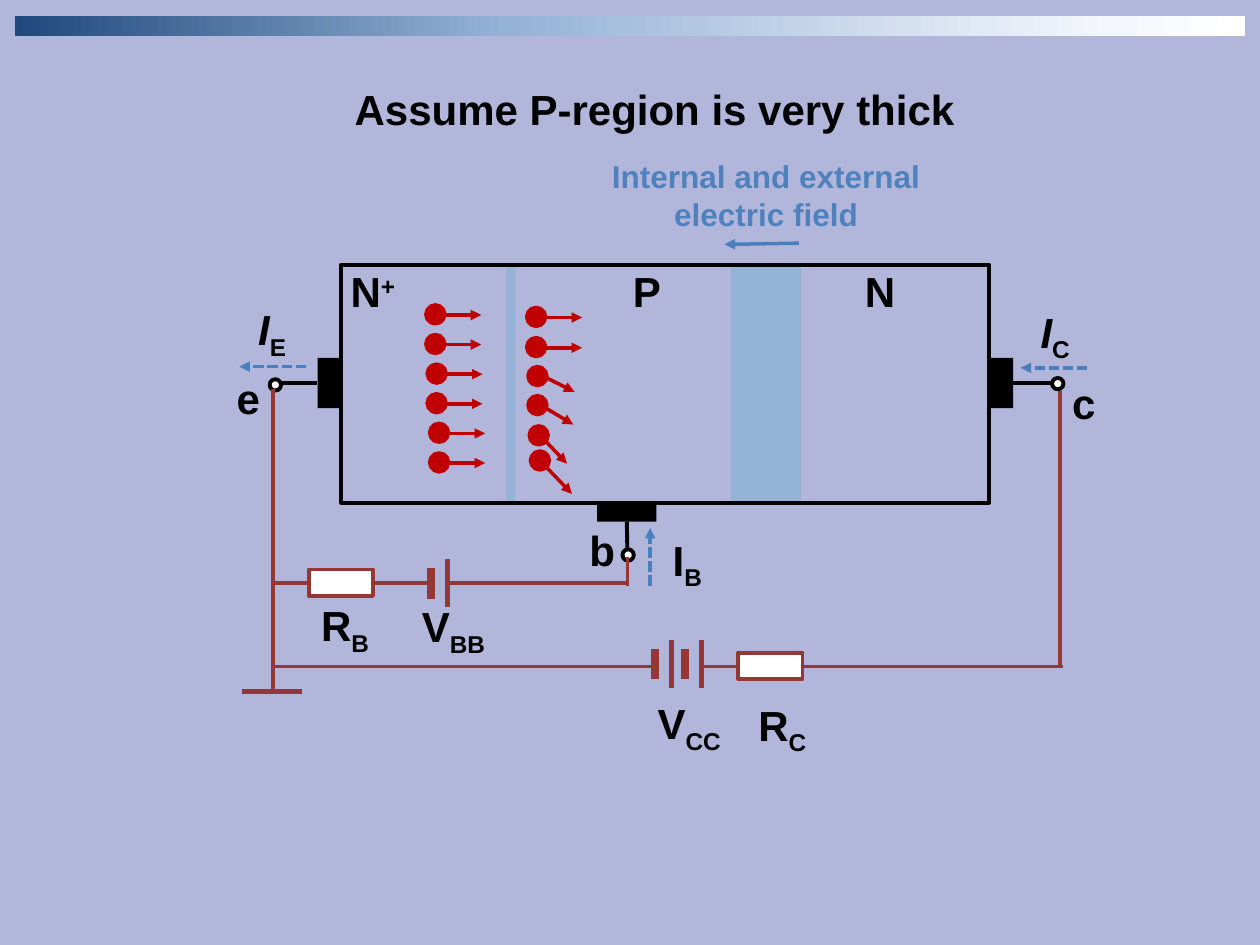
from lxml import etree
from pptx import Presentation
from pptx.dml.color import RGBColor
from pptx.enum.dml import MSO_LINE
from pptx.enum.shapes import MSO_CONNECTOR, MSO_SHAPE
from pptx.enum.text import MSO_ANCHOR, MSO_AUTO_SIZE, PP_ALIGN
from pptx.oxml.ns import qn
from pptx.util import Inches, Pt

RECT, OVAL = MSO_SHAPE.RECTANGLE, MSO_SHAPE.OVAL
STRAIGHT, DOTTED = MSO_CONNECTOR.STRAIGHT, MSO_LINE.SQUARE_DOT
LEFT, CENTER = PP_ALIGN.LEFT, PP_ALIGN.CENTER
SIDE_LEFT, SIDE_BOTTOM, SIDE_RIGHT = 1, 2, 3

THEME = {
    "font": "Arial", "label": 24, "note": 18,
    "background": "B3B6DB", "ink": "000000", "white": "FFFFFF",
    "depletion": "95B3D7", "wire": "953735", "electron": "C00000",
    "current": "4B7EBC", "field": "4F81BD",
    "bar": [(0, "1F497D"), (40, "95B3D7"), (89, "F4F7FC"), (100, "FFFFFF")],
}
THIN, MEDIUM, PLATE, THICK = 2, 2.25, 3, 4.5

TITLE = ("Assume P-region is very thick", (2.19, 0.61, 6.01, 0.5))
NOTE = ("Internal and external electric field", (4.41, 1.2, 3.34, 0.71))
BAR = (0.12, 0.13, 9.76, 0.16)

DEPLETION = [(5.8, 2.09, 0.56, 1.89), (4.02, 2.1, 0.07, 1.89)]
BODY = (2.71, 2.1, 5.14, 1.89)
TERMINAL = 0.09
CONTACTS = [
    ((2.52, 2.84, 0.19, 0.4), SIDE_LEFT, (2.22, 3.04), (2.14, 3.01)),
    ((7.85, 2.84, 0.19, 0.4), SIDE_RIGHT, (8.34, 3.04), (8.35, 3)),
    ((4.74, 4, 0.47, 0.14), SIDE_BOTTOM, (4.98, 4.42), (4.94, 4.36)),
]
WIRES = [
    ((2.17, 5.49), (2.17, 3.09)), ((8.41, 5.3), (8.41, 3.1)),
    ((3.42, 4.63), (2.17, 4.63)), ((4.98, 4.65), (4.98, 4.42)),
    ((4.98, 4.63), (3.56, 4.63)), ((8.44, 5.29), (5.57, 5.29)),
    ((5.2, 5.29), (2.16, 5.29)),
]
GROUND = ((1.92, 5.49), (2.4, 5.49))
CELLS = [(3.42, 4.63), (5.2, 5.27), (5.44, 5.27)]
CELL_GAP, SHORT_HALF, LONG_HALF = 0.13, 0.12, 0.19
RESISTORS = [(2.45, 4.52, 0.51, 0.21), (5.86, 5.18, 0.51, 0.21)]

LABELS = [
    ("I", "C", -25, True, LEFT, (8.16, 2.38, 0.79, 0.59)),
    ("I", "E", -25, True, LEFT, (1.95, 2.36, 0.79, 0.59)),
    ("I", "B", -25, False, LEFT, (5.24, 4.19, 0.55, 0.59)),
    ("V", "CC", -25, False, LEFT, (5.12, 5.49, 0.79, 0.59)),
    ("R", "C", -25, False, LEFT, (5.92, 5.5, 0.79, 0.59)),
    ("V", "BB", -25, False, LEFT, (3.25, 4.72, 0.79, 0.59)),
    ("R", "B", -25, False, LEFT, (2.45, 4.71, 0.79, 0.59)),
    ("N", "+", 30, False, CENTER, (2.64, 2.06, 0.64, 0.54)),
    ("P", "", 0, False, CENTER, (4.86, 2.06, 0.55, 0.5)),
    ("N", "", 0, False, CENTER, (6.71, 2.06, 0.55, 0.5)),
    ("e", "", 0, False, LEFT, (1.78, 2.91, 0.41, 0.5)),
    ("c", "", 0, False, LEFT, (8.41, 2.95, 0.41, 0.5)),
    ("b", "", 0, False, LEFT, (4.58, 4.11, 0.41, 0.5)),
]

ELECTRON, PITCH = 0.15, 0.235
LEVEL = (0.15, 0.08, 0.29, 0)
EMITTER_X, EMITTER_TOP = (3.38, 3.38, 3.39, 3.39, 3.41, 3.41), 2.42
BASE_ELECTRONS = [
    (4.18, 2.44, LEVEL), (4.18, 2.68, LEVEL),
    (4.19, 2.91, (0.11, 0.07, 0.26, 0.13)),
    (4.19, 3.14, (0.11, 0.08, 0.25, 0.15)),
    (4.2, 3.38, (0.1, 0.09, 0.2, 0.21)),
    (4.21, 3.58, (0.1, 0.1, 0.23, 0.24)),
]
CURRENTS = [
    ((8.63, 2.92), (8.1, 2.92)), ((2.43, 2.91), (1.9, 2.91)),
    ((5.16, 4.65), (5.16, 4.19)),
]
FIELD_ARROW = ((6.34, 1.93), (5.75, 1.94))


def rgb(name):
    return RGBColor.from_string(THEME[name])


def inches(values):
    return [Inches(v) for v in values]


def add_box(s, kind, box, fill=None, line=None, width=MEDIUM):
    sp = s.shapes.add_shape(kind, *inches(box))
    sp.shadow.inherit = False
    if fill:
        sp.fill.solid()
        sp.fill.fore_color.rgb = rgb(fill)
    else:
        sp.fill.background()
    if line:
        sp.line.color.rgb = rgb(line)
        sp.line.width = Pt(width)
    else:
        sp.line.fill.background()
    return sp


def add_line(s, start, end, color, width=MEDIUM, arrow=False, dash=None):
    cn = s.shapes.add_connector(STRAIGHT, *inches(start + end))
    cn.line.color.rgb = rgb(color)
    cn.line.width = Pt(width)
    if dash:
        cn.line.dash_style = dash
    if arrow:
        etree.SubElement(cn.line._get_or_add_ln(), qn("a:tailEnd"), type="triangle")
    etree.SubElement(cn._element.spPr, qn("a:effectLst"))
    return cn


def write(sp, runs, size="label", color="ink", align=LEFT):
    tf = sp.text_frame
    for name, value in {"word_wrap": True, "auto_size": MSO_AUTO_SIZE.NONE,
                        "vertical_anchor": MSO_ANCHOR.TOP}.items():
        setattr(tf, name, value)
    p = tf.paragraphs[0]
    p.alignment = align
    for text, italic, baseline in runs:
        r = p.add_run()
        r.text = text
        for name, value in {"name": THEME["font"], "size": Pt(THEME[size]),
                            "bold": True, "italic": italic}.items():
            setattr(r.font, name, value)
        r.font.color.rgb = rgb(color)
        if baseline:
            r._r.get_or_add_rPr().set("baseline", str(baseline * 1000))


def add_bar(s):
    sp = add_box(s, RECT, BAR)
    sp.fill.gradient()
    sp.fill.gradient_angle = 0
    stops = sp._element.spPr.find(qn("a:gradFill")).find(qn("a:gsLst"))
    for stop in list(stops):
        stops.remove(stop)
    for position, color in THEME["bar"]:
        stop = etree.SubElement(stops, qn("a:gs"), pos=str(position * 1000))
        etree.SubElement(stop, qn("a:srgbClr"), val=color)


def add_transistor(s):
    for box in DEPLETION:
        add_box(s, RECT, box, "depletion")
    add_box(s, RECT, BODY, line="ink")
    for box, side, lead, terminal in CONTACTS:
        contact = add_box(s, RECT, box, "ink")
        add_line(s, lead, lead, "ink").end_connect(contact, side)
        add_box(s, OVAL, terminal + (TERMINAL, TERMINAL), "white", "ink")


def add_circuit(s):
    for start, end in WIRES:
        add_line(s, start, end, "wire")
    add_line(s, *GROUND, "wire", PLATE)
    for x, y in CELLS:
        for px, half, width in ((x, SHORT_HALF, THICK), (x + CELL_GAP, LONG_HALF, PLATE)):
            add_line(s, (px, y - half), (px, y + half), "wire", width)
    for box in RESISTORS:
        add_box(s, RECT, box, "white", "wire")


def add_electrons(s):
    emitter = [(x, EMITTER_TOP + i * PITCH, LEVEL) for i, x in enumerate(EMITTER_X)]
    for x, y, (ox, oy, dx, dy) in emitter + BASE_ELECTRONS:
        add_box(s, OVAL, (x, y, ELECTRON, ELECTRON), "electron", "electron", THIN)
        start = (x + ox, y + oy)
        add_line(s, start, (start[0] + dx, start[1] + dy), "electron", THIN, arrow=True)


def main():
    prs = Presentation()
    prs.slide_width, prs.slide_height = Inches(10), Inches(7.5)
    s = prs.slides.add_slide(prs.slide_layouts[5])
    s.background.fill.solid()
    s.background.fill.fore_color.rgb = rgb("background")
    add_bar(s)
    add_transistor(s)
    add_circuit(s)
    add_electrons(s)
    for start, end in CURRENTS:
        add_line(s, start, end, "current", THIN, arrow=True, dash=DOTTED)
    add_line(s, *FIELD_ARROW, "current", THIN, arrow=True)
    for symbol, index, baseline, italic, align, box in LABELS:
        runs = [(symbol, italic, 0)] + ([(index, False, baseline)] if index else [])
        write(s.shapes.add_textbox(*inches(box)), runs, align=align)
    title = s.shapes.title
    text, box = TITLE
    title.left, title.top, title.width, title.height = inches(box)
    write(title, [(text, False, 0)], align=CENTER)
    text, box = NOTE
    write(s.shapes.add_textbox(*inches(box)), [(text, False, 0)], "note", "field", CENTER)
    prs.save("out.pptx")


if __name__ == "__main__":
    main()
